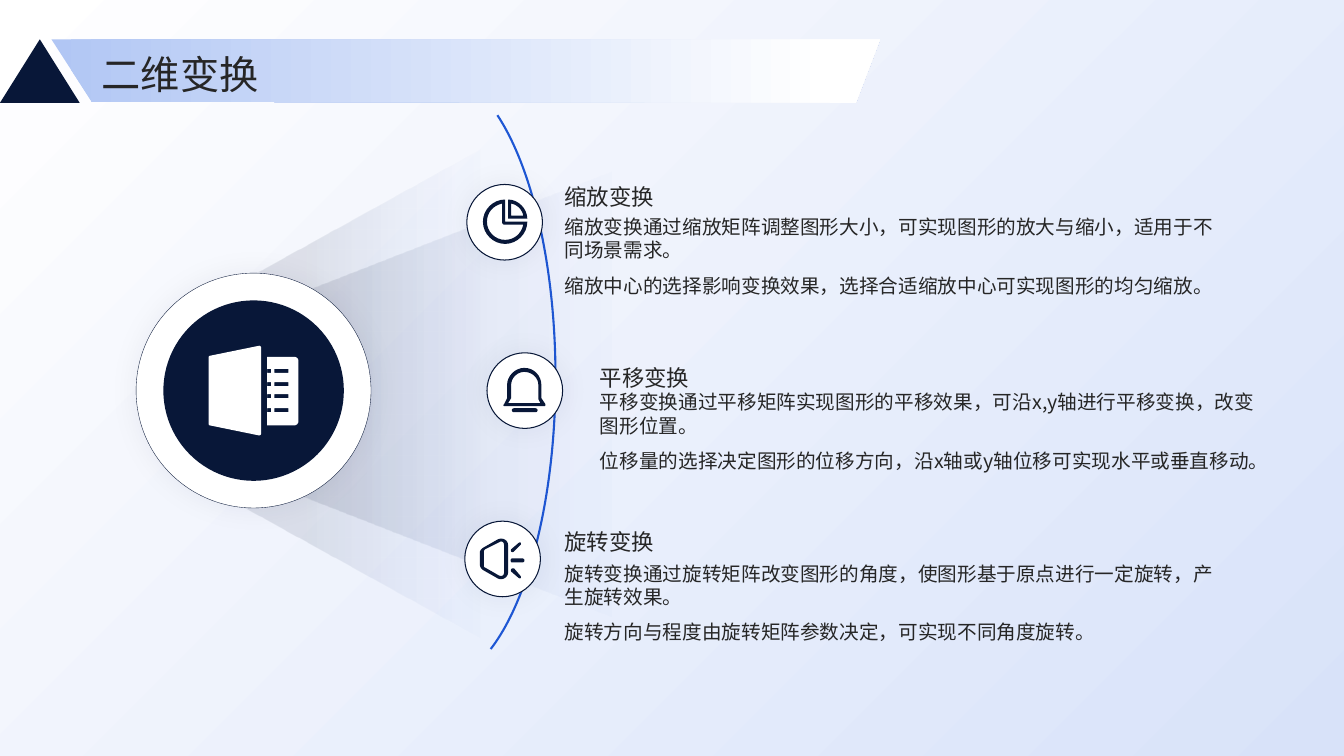
from lxml import etree
from pptx import Presentation
from pptx.dml.color import RGBColor
from pptx.enum.shapes import MSO_SHAPE
from pptx.enum.text import MSO_ANCHOR
from pptx.oxml.ns import qn
from pptx.util import Inches, Pt

RECTANGLE, ELLIPSE = MSO_SHAPE.RECTANGLE, MSO_SHAPE.OVAL
ARC, TRAPEZOID = MSO_SHAPE.ARC, MSO_SHAPE.TRAPEZOID
TRIANGLE = MSO_SHAPE.ISOSCELES_TRIANGLE
TOP, MIDDLE, BOTTOM = MSO_ANCHOR.TOP, MSO_ANCHOR.MIDDLE, MSO_ANCHOR.BOTTOM

FONT = "Noto Sans CJK SC"
NAVY, BLUE, WHITE, INK = "081738", "1E57D4", "FFFFFF", "262626"
CURVE_STEPS = 8

# Icon outlines, in hundredths of an inch from the icon's top left corner
PIE_ICON = """
M 22 0 L 22 22 L 44 22 C 44 34 34 44 22 44 C 10 44 0 34 0 22 C 0 10 10 0 22 0 Z
M 19 4 C 10 6 4 13 4 22 C 4 32 12 40 22 40 C 31 40 38 34 40 25 L 22 25
C 20 25 19 24 19 22 Z
M 25 0 C 35 0 44 9 44 19 L 25 19 Z
M 28 4 L 28 16 L 40 16 C 39 10 34 5 28 4 Z"""
BELL_ICON = """
M 11 40 L 32 40 C 35 40 35 44 32 44 L 11 44 C 8 44 8 40 11 40 Z
M 21 4 C 14 4 8 10 8 17 L 8 30 L 5 35 L 37 35 L 35 31 L 35 17 C 35 10 29 4 21 4 Z
M 21 0 C 31 0 38 8 38 17 L 38 30 L 42 36 C 42 37 42 38 41 38 L 2 38
C 0 38 0 37 1 36 L 4 30 L 4 17 C 4 8 12 0 21 0 Z"""
SPEAKER_ICON = """
M 34 30 L 40 37 C 42 39 40 41 38 39 L 31 33 C 30 31 32 29 34 30 Z
M 32 20 L 42 20 C 45 20 45 24 42 24 L 32 24 C 30 24 30 20 32 20 Z
M 38 5 C 40 3 42 5 40 7 L 34 13 C 32 15 30 13 31 11 Z
M 19 4 L 5 11 C 4 12 4 13 4 14 L 4 26 C 4 28 4 29 5 29 L 19 37
C 22 38 24 37 24 34 L 24 7 C 24 4 22 2 19 4 Z
M 18 1 L 4 9 C 2 10 0 12 0 14 L 0 26 C 0 29 2 31 4 32 L 18 40
C 22 42 28 39 28 34 L 28 7 C 28 2 23 -1 18 1 Z"""
BINDER_ICON = """
M 50 0 C 51 0 52 1 52 2 L 52 87 C 52 88 51 89 50 89 L 1 79 C 0 79 0 78 0 77
L 0 12 C 0 11 0 10 1 10 Z
M 58 11 L 85 11 C 87 11 89 13 89 15 L 89 75 C 89 77 87 79 85 79 L 58 79 Z"""
for slot_top in (23, 36, 48, 62):
    for left, right in ((58, 62), (65, 79)):
        BINDER_ICON += (f" M {left} {slot_top} L {right} {slot_top}"
                        f" L {right} {slot_top + 4} L {left} {slot_top + 4} Z")
BANNER = "M 40 62 L 0 0 L 822 0 L 798 63 Z"


def color(value):
    return RGBColor.from_string(value)


def contours(outline):
    """Turn an outline string into lists of points, with curves sampled."""
    result, tokens = [], iter(outline.split())
    for command in tokens:
        if command == "Z":
            continue
        count = 3 if command == "C" else 1
        points = [(float(next(tokens)), float(next(tokens))) for _ in range(count)]
        if command == "M":
            result.append(points)
        elif command == "L":
            result[-1] += points
        else:
            controls = [result[-1][-1]] + points
            for step in range(1, CURVE_STEPS + 1):
                t = step / CURVE_STEPS
                weights = ((1 - t) ** 3, 3 * t * (1 - t) ** 2, 3 * t * t * (1 - t), t ** 3)
                result[-1].append(tuple(
                    sum(w * point[axis] for w, point in zip(weights, controls))
                    for axis in (0, 1)))
    return result


class SlideBuilder:
    def __init__(self, slide):
        self.shapes = slide.shapes

    def paint(self, shape, fill=None, line=None, gradient=None, angle=0, shadow=False):
        """Gradient stops are (position, color, opacity in percent)."""
        shape.shadow.inherit = False
        if gradient:
            shape.fill.gradient()
            shape.fill.gradient_angle = (360 - angle) % 360
            for stop, (position, value, opacity) in zip(shape.fill.gradient_stops, gradient):
                stop.position = position / 100
                stop.color.rgb = color(value)
                if opacity < 100:
                    self.add_alpha(stop._gs[0], opacity)
        elif fill:
            shape.fill.solid()
            shape.fill.fore_color.rgb = color(fill)
        else:
            shape.fill.background()
        if line:
            shape.line.color.rgb = color(line[0])
            shape.line.width = Pt(line[1])
        else:
            shape.line.fill.background()
        if shadow:
            effects = shape._element.spPr.find(qn("a:effectLst"))
            outer = etree.SubElement(effects, qn("a:outerShdw"), blurRad=str(Pt(20)),
                                     dist="0", dir="0", algn="ctr", rotWithShape="0")
            tint = etree.SubElement(outer, qn("a:srgbClr"), val=NAVY)
            self.add_alpha(tint, 5)

    def add_alpha(self, element, opacity):
        etree.SubElement(element, qn("a:alpha"), val=str(opacity * 1000))

    def preset(self, kind, left, top, width, height, adjust=(), rotation=0, **style):
        shape = self.shapes.add_shape(kind, Inches(left), Inches(top),
                                      Inches(width), Inches(height))
        for index, value in enumerate(adjust):
            shape.adjustments[index] = value
        shape.rotation = rotation
        self.paint(shape, **style)

    def outline(self, outline, left, top, **style):
        builder = None
        for contour in contours(outline):
            points = [(Inches(x / 100), Inches(y / 100)) for x, y in contour]
            if builder is None:
                builder = self.shapes.build_freeform(*points[0])
            else:
                builder.move_to(*points[0])
            builder.add_line_segments(points[1:], close=True)
        self.paint(builder.convert_to_shape(Inches(left), Inches(top)), **style)

    def text(self, text, left, top, width, height, size=14, spacings=(1.0, 1.5), anchor=TOP):
        """Each line of the text is a paragraph with its own line spacing."""
        box = self.shapes.add_textbox(Inches(left), Inches(top),
                                      Inches(width), Inches(height))
        frame = box.text_frame
        frame.word_wrap = True
        frame.vertical_anchor = anchor
        frame.margin_left = frame.margin_right = frame.margin_top = frame.margin_bottom = 0
        for index, (line, spacing) in enumerate(zip(text.split("\n"), spacings)):
            para = frame.add_paragraph() if index else frame.paragraphs[0]
            para.line_spacing = spacing
            span = para.add_run()
            span.text = line
            span.font.size = Pt(size)
            span.font.name = FONT
            span.font.color.rgb = color(INK)
            etree.SubElement(span.font._element, qn("a:ea"), typeface=FONT)


def main():
    deck = Presentation()
    deck.slide_width, deck.slide_height = Inches(13.33), Inches(7.5)
    page = SlideBuilder(deck.slides.add_slide(deck.slide_layouts[6]))

    # Background and arc
    page.preset(RECTANGLE, 0, 0, 13.33, 7.5, angle=45,
                gradient=[(0, WHITE, 100), (100, "D8E2F9", 100)])
    page.preset(ARC, 3.18, 0.73, 2.33, 6.03, adjust=(169.65, 47.415), line=(BLUE, 1.5))

    # Light beams
    for left, top, width, height, slant, start in (
            (1.16, 2.71, 4.88, 2.39, 0.554, 25), (2.03, 2.06, 4.46, 3.7, 0.392, 29)):
        page.preset(TRAPEZOID, left, top, width, height, adjust=(slant,), rotation=270,
                    gradient=[(start, NAVY, 10), (100, BLUE, 0)], angle=90)

    # Hub
    page.preset(ELLIPSE, 1.35, 2.71, 2.33, 2.33, fill=WHITE, line=(NAVY, 0.25), shadow=True)
    page.preset(ELLIPSE, 1.62, 2.98, 1.79, 1.79, fill=NAVY)
    page.outline(BINDER_ICON, 2.07, 3.43, fill=WHITE)

    # Topics: circle, icon, heading and body
    topics = [
        (4.63, 1.83, PIE_ICON, 4.79, 1.98, 5.6, 1.74, 2.13, "缩放变换",
         "缩放变换通过缩放矩阵调整图形大小，可实现图形的放大与缩小，适用于不同场景需求。\n"
         "缩放中心的选择影响变换效果，选择合适缩放中心可实现图形的均匀缩放。"),
        (4.83, 3.5, BELL_ICON, 4.99, 3.65, 5.95, 3.54, 3.87, "平移变换",
         "平移变换通过平移矩阵实现图形的平移效果，可沿x,y轴进行平移变换，改变图形位置。\n"
         "位移量的选择决定图形的位移方向，沿x轴或y轴位移可实现水平或垂直移动。"),
        (4.61, 5.17, SPEAKER_ICON, 4.76, 5.34, 5.6, 5.17, 5.57, "旋转变换",
         "旋转变换通过旋转矩阵改变图形的角度，使图形基于原点进行一定旋转，产生旋转效果。\n"
         "旋转方向与程度由旋转矩阵参数决定，可实现不同角度旋转。"),
    ]
    for (circle_left, circle_top, icon, icon_left, icon_top,
         text_left, heading_top, body_top, heading, body) in topics:
        page.preset(ELLIPSE, circle_left, circle_top, 0.75, 0.75, fill=WHITE,
                    line=(NAVY, 0.75), shadow=True)
        page.outline(icon, icon_left, icon_top, fill=NAVY)
        page.text(heading, text_left, heading_top, 6.51, 0.34,
                  size=16, spacings=(1.3,), anchor=BOTTOM)
        page.text(body, text_left, body_top, 6.51, 1.1)

    # Title banner
    page.preset(TRIANGLE, 0, 0.39, 0.79, 0.63, fill=NAVY)
    page.outline(BANNER, 0.51, 0.39, gradient=[(0, "B1C6F4", 100), (94, WHITE, 100)])
    page.text("二维变换", 1.01, 0.45, 11.52, 0.51, size=28, spacings=(1.1,), anchor=MIDDLE)

    deck.save("out.pptx")


if __name__ == "__main__":
    main()
